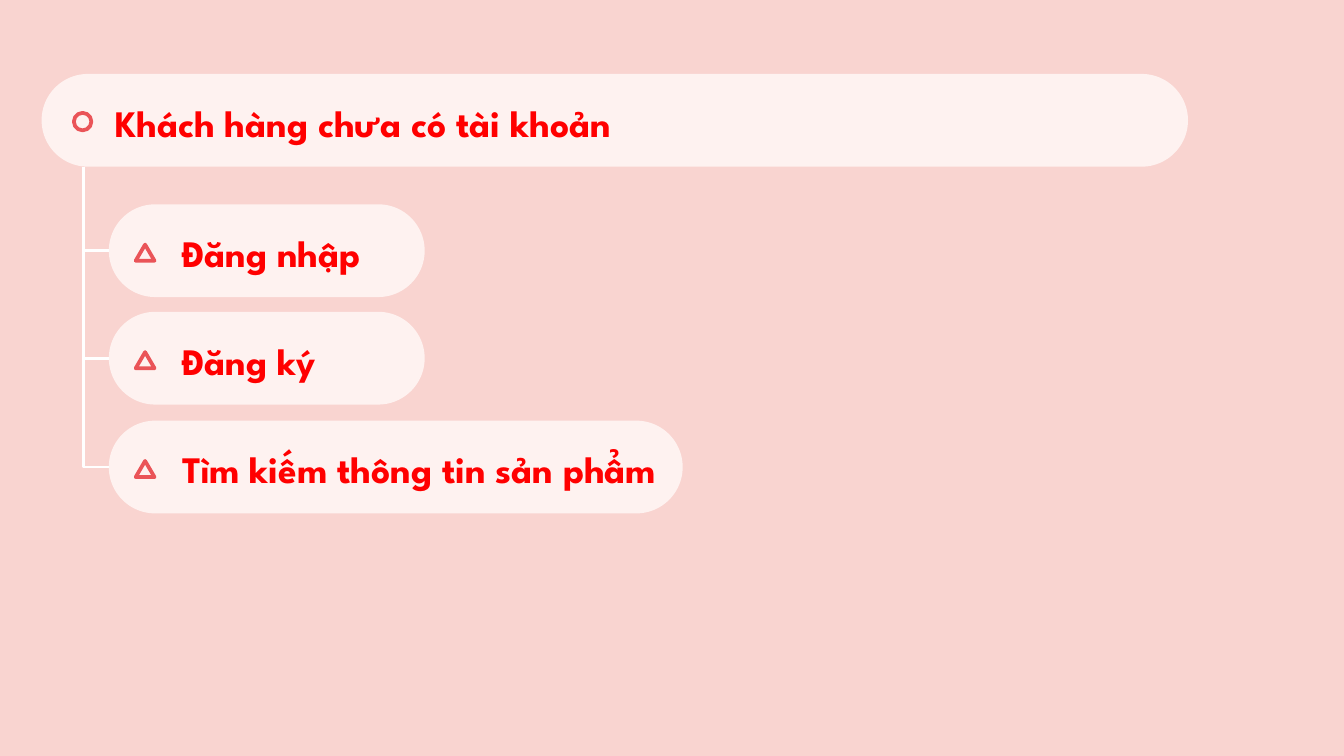
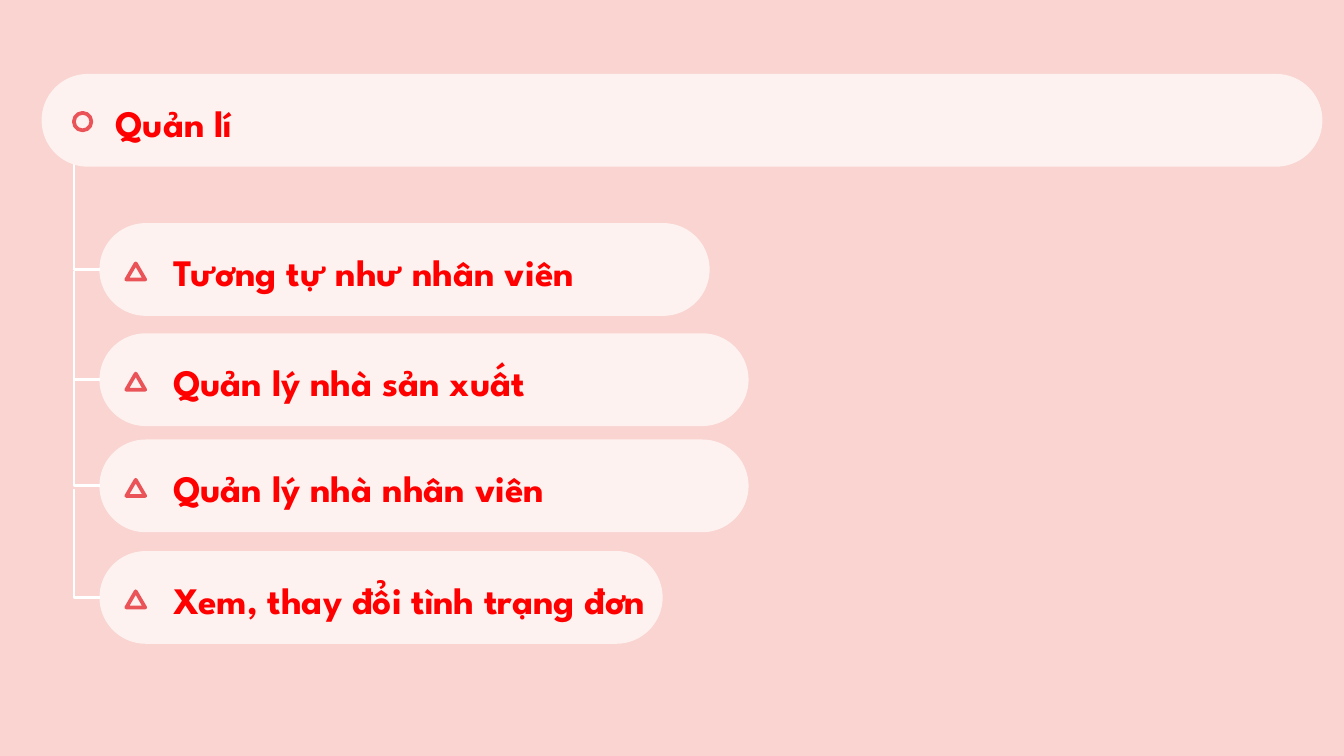
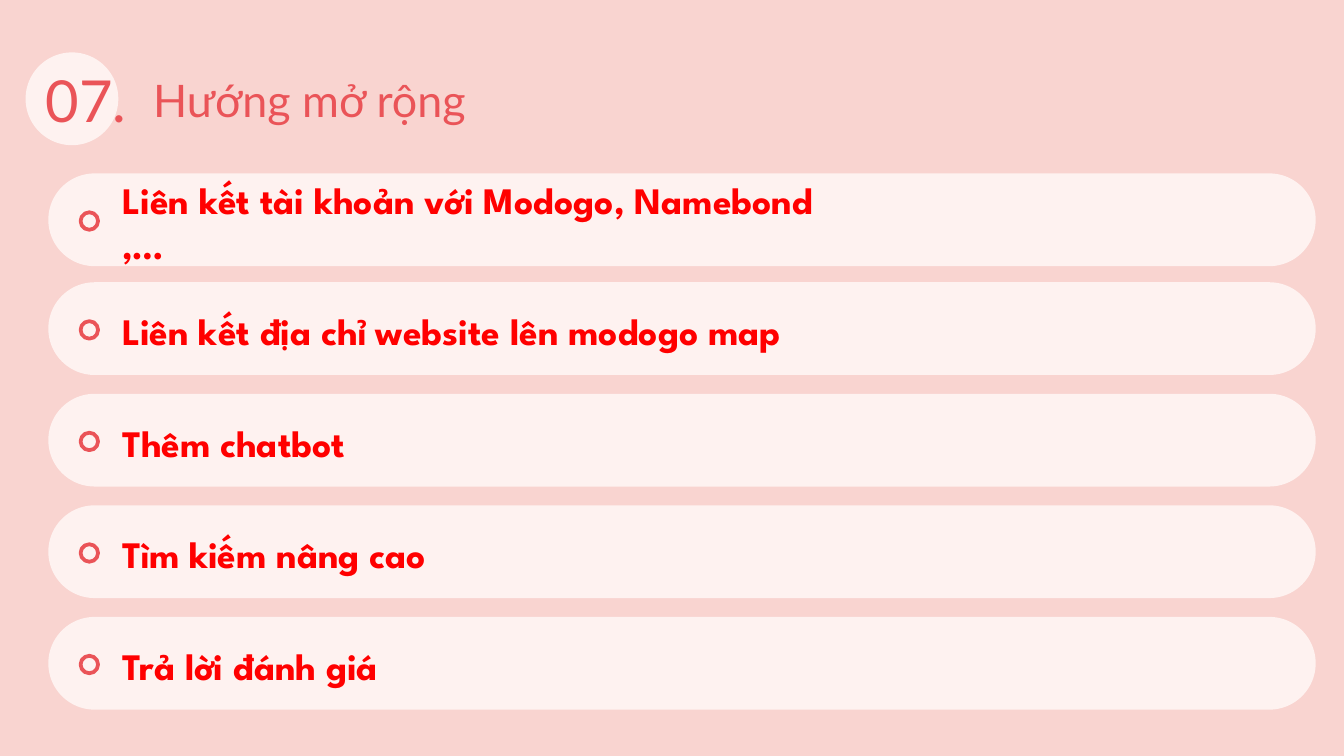
from dataclasses import dataclass

from lxml import etree
from pptx import Presentation
from pptx.dml.color import RGBColor
from pptx.enum.shapes import MSO_CONNECTOR, MSO_SHAPE
from pptx.enum.text import MSO_ANCHOR, MSO_AUTO_SIZE, PP_ALIGN
from pptx.oxml.ns import qn
from pptx.util import Inches, Pt

ELBOW = MSO_CONNECTOR.ELBOW
ELLIPSE = MSO_SHAPE.OVAL
RECTANGLE = MSO_SHAPE.RECTANGLE
ROUNDED = MSO_SHAPE.ROUNDED_RECTANGLE
TRIANGLE = MSO_SHAPE.ISOSCELES_TRIANGLE
MIDDLE = MSO_ANCHOR.MIDDLE
FIT_SHAPE = MSO_AUTO_SIZE.SHAPE_TO_FIT_TEXT
LEFT, RIGHT = PP_ALIGN.LEFT, PP_ALIGN.RIGHT

CREAM = RGBColor(0xFE, 0xF2, 0xF0)
PINK = RGBColor(0xF9, 0xD4, 0xD0)
CORAL = RGBColor(0xEA, 0x54, 0x58)
RED = RGBColor(0xFF, 0x00, 0x00)
WHITE = RGBColor(0xFF, 0xFF, 0xFF)

PILL_FONT, TITLE_FONT = "League Spartan", "Lato"
SLIDE_WIDTH = Inches(10)
SLIDE_HEIGHT = SLIDE_WIDTH * 9 // 16
PILL_HEIGHT = 0.69
BRANCH_RUN = 0.19


@dataclass(frozen=True)
class Bullet:
    """Outlined marker and its place inside a pill."""
    geometry: MSO_SHAPE
    left: float
    top: float
    width: float
    height: float


@dataclass(frozen=True)
class Pill:
    """Rounded band with a bullet and a label."""
    label: str
    left: float
    top: float
    width: float
    text_width: float
    bullet: Bullet


@dataclass(frozen=True)
class Branch:
    """Pill that hangs from the trunk by an elbow of the given drop."""
    pill: Pill
    drop: float = 0.81


CIRCLE_BULLET = Bullet(ELLIPSE, 0.24, 0.29, 0.13, 0.13)
TRIANGLE_BULLET = Bullet(TRIANGLE, 0.2, 0.3, 0.14, 0.12)

GUEST = Pill("Khách hàng chưa có tài khoản", 0.31, 0.55, 8.53, 4.21, CIRCLE_BULLET)
GUEST_BRANCHES = [
    Branch(Pill("Đăng nhập", 0.81, 1.52, 2.35, 4.62, TRIANGLE_BULLET), 0.62),
    Branch(Pill("Đăng ký", 0.81, 2.32, 2.35, 1.52, TRIANGLE_BULLET)),
    Branch(Pill("Tìm kiếm thông tin sản phẩm", 0.81, 3.13, 4.27, 3.73, TRIANGLE_BULLET)),
]
MANAGER = Pill("Quản lí", 0.31, 0.55, 9.53, 4.21, CIRCLE_BULLET)
MANAGER_BRANCHES = [
    Branch(Pill("Tương tự như nhân viên", 0.74, 1.66, 4.54, 4.1, TRIANGLE_BULLET)),
    Branch(Pill("Quản lý nhà sản xuất", 0.74, 2.48, 4.83, 4.64, TRIANGLE_BULLET)),
    Branch(Pill("Quản lý nhà nhân viên", 0.74, 3.27, 4.83, 4.64, TRIANGLE_BULLET)),
    Branch(Pill("Xem, thay đổi tình trạng đơn", 0.74, 4.1, 4.19, 4.1, TRIANGLE_BULLET)),
]
EXTENSIONS = [
    Pill(label, 0.36, top, 9.43, text_width, CIRCLE_BULLET)
    for label, top, text_width in [
        ("Liên kết tài khoản với Modogo, Namebond ,…", 1.29, 5.39),
        ("Liên kết địa chỉ website lên modogo map", 2.1, 5.24),
        ("Thêm chatbot", 2.93, 5.24),
        ("Tìm kiếm nâng cao", 3.76, 5.24),
        ("Trả lời đánh giá", 4.59, 5.24),
    ]
]


def add_filled(shapes, geometry: MSO_SHAPE, left: float, top: float,
               width: float, height: float, color: RGBColor):
    """Add a borderless filled shape."""
    shape = shapes.add_shape(geometry, Inches(left), Inches(top), Inches(width), Inches(height))
    shape.shadow.inherit = False
    shape.fill.solid()
    shape.fill.fore_color.rgb = color
    shape.line.fill.background()
    return shape


def add_bullet(shapes, bullet: Bullet, left: float, top: float) -> None:
    """Add an outlined marker to the pill at the given corner."""
    shape = shapes.add_shape(bullet.geometry, Inches(left + bullet.left), Inches(top + bullet.top),
                             Inches(bullet.width), Inches(bullet.height))
    shape.shadow.inherit = False
    shape.fill.background()
    shape.line.color.rgb = CORAL
    shape.line.width = Pt(2)
    etree.SubElement(shape.element.spPr.find(qn("a:ln")), qn("a:round"))


def add_text(shapes, text: str, left: float, top: float, width: float, height: float,
             font: str, size: int, color: RGBColor, bold: bool = False,
             alignment: PP_ALIGN = LEFT):
    """Add a one-run text box centred vertically and return its frame."""
    box = shapes.add_textbox(Inches(left), Inches(top), Inches(width), Inches(height))
    frame = box.text_frame
    frame.word_wrap = True
    frame.vertical_anchor = MIDDLE
    paragraph = frame.paragraphs[0]
    paragraph.alignment = alignment
    run = paragraph.add_run()
    run.text = text
    run.font.name = font
    run.font.size = Pt(size)
    run.font.bold = bold
    run.font.color.rgb = color
    return frame


def add_pill(slide, pill: Pill) -> None:
    """Add a grouped pill with its bullet and label."""
    shapes = slide.shapes.add_group_shape().shapes
    band = add_filled(shapes, ROUNDED, pill.left, pill.top, pill.width, PILL_HEIGHT, CREAM)
    band.adjustments[0] = 0.5
    add_bullet(shapes, pill.bullet, pill.left, pill.top)
    frame = add_text(shapes, pill.label, pill.left + 0.45, pill.top + 0.14, pill.text_width, 0.44,
                     PILL_FONT, 20, RED, bold=True)
    frame.auto_size = FIT_SHAPE


def add_elbow(slide, branch: Branch) -> None:
    """Add the line that goes down the trunk and then right to the pill."""
    center_x = branch.pill.left - BRANCH_RUN / 2
    center_y = branch.pill.top + PILL_HEIGHT / 2 - branch.drop / 2
    half_drop, half_run = branch.drop / 2, BRANCH_RUN / 2
    connector = slide.shapes.add_connector(
        ELBOW, Inches(center_x - half_drop), Inches(center_y - half_run),
        Inches(center_x + half_drop), Inches(center_y + half_run))
    connector.line.color.rgb = WHITE
    connector.line.width = Pt(1.5)
    properties = connector.element.spPr
    properties.find(qn("a:prstGeom")).set("prst", "bentConnector2")
    transform = properties.find(qn("a:xfrm"))
    transform.set("rot", "16200000")
    transform.set("flipH", "1")
    etree.SubElement(properties, qn("a:effectLst"))


def add_slide(presentation, backdrop_left: float = -0.01, backdrop_top: float = -0.07):
    """Add a blank slide with the pink backdrop."""
    slide = presentation.slides.add_slide(presentation.slide_layouts[6])
    slide.background.fill.solid()
    slide.background.fill.fore_color.rgb = CREAM
    add_filled(slide.shapes, RECTANGLE, backdrop_left, backdrop_top, 10.57, 6.03, PINK)
    return slide


def add_tree_slide(presentation, root: Pill, branches: list[Branch]) -> None:
    """Add a slide with a root pill and the branches below it."""
    slide = add_slide(presentation)
    for branch in branches:
        add_pill(slide, branch.pill)
        add_elbow(slide, branch)
    add_pill(slide, root)


def add_title(slide, number: str, title: str) -> None:
    """Add the section number on its disc and the section title."""
    add_filled(slide.shapes, ELLIPSE, 0.19, 0.39, PILL_HEIGHT, PILL_HEIGHT, CREAM)
    frames = [
        add_text(slide.shapes, title, 1.04, 0.46, 3.62, 0.56, TITLE_FONT, 24, CORAL),
        add_text(slide.shapes, number, 0, 0.46, 1.04, 0.56, TITLE_FONT, 31, CORAL,
                 alignment=RIGHT),
    ]
    for frame in frames:
        frame.margin_top = frame.margin_bottom = Inches(0.1)


def add_list_slide(presentation, number: str, title: str, pills: list[Pill]) -> None:
    """Add a titled slide with a column of pills."""
    slide = add_slide(presentation, 0, -0.14)
    add_title(slide, number, title)
    for pill in pills:
        add_pill(slide, pill)


def main() -> None:
    """Build and save the presentation."""
    presentation = Presentation()
    presentation.slide_width = SLIDE_WIDTH
    presentation.slide_height = SLIDE_HEIGHT
    add_tree_slide(presentation, GUEST, GUEST_BRANCHES)
    add_tree_slide(presentation, MANAGER, MANAGER_BRANCHES)
    add_list_slide(presentation, "07.", "Hướng mở rộng", EXTENSIONS)
    presentation.save("out.pptx")


if __name__ == "__main__":
    main()
